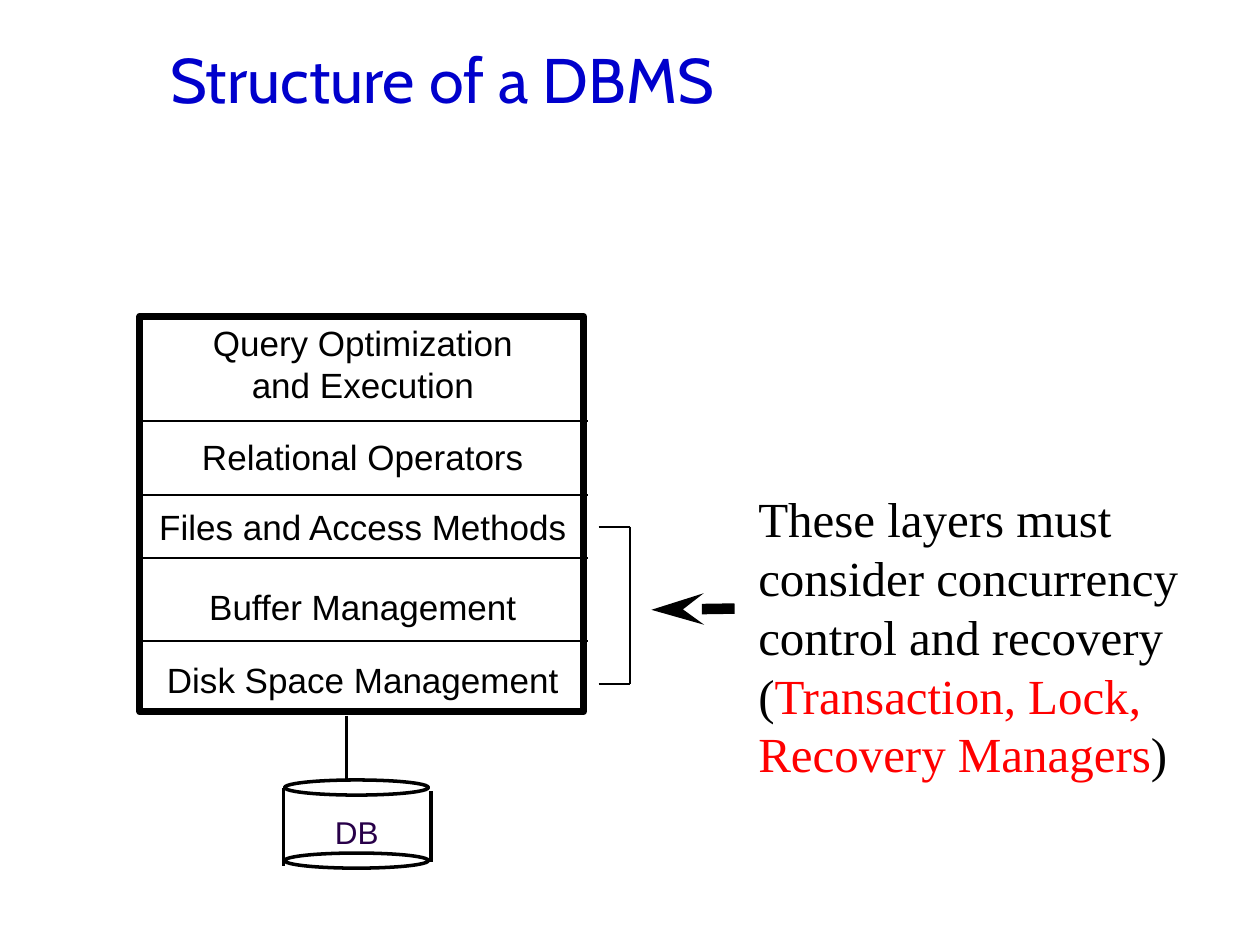
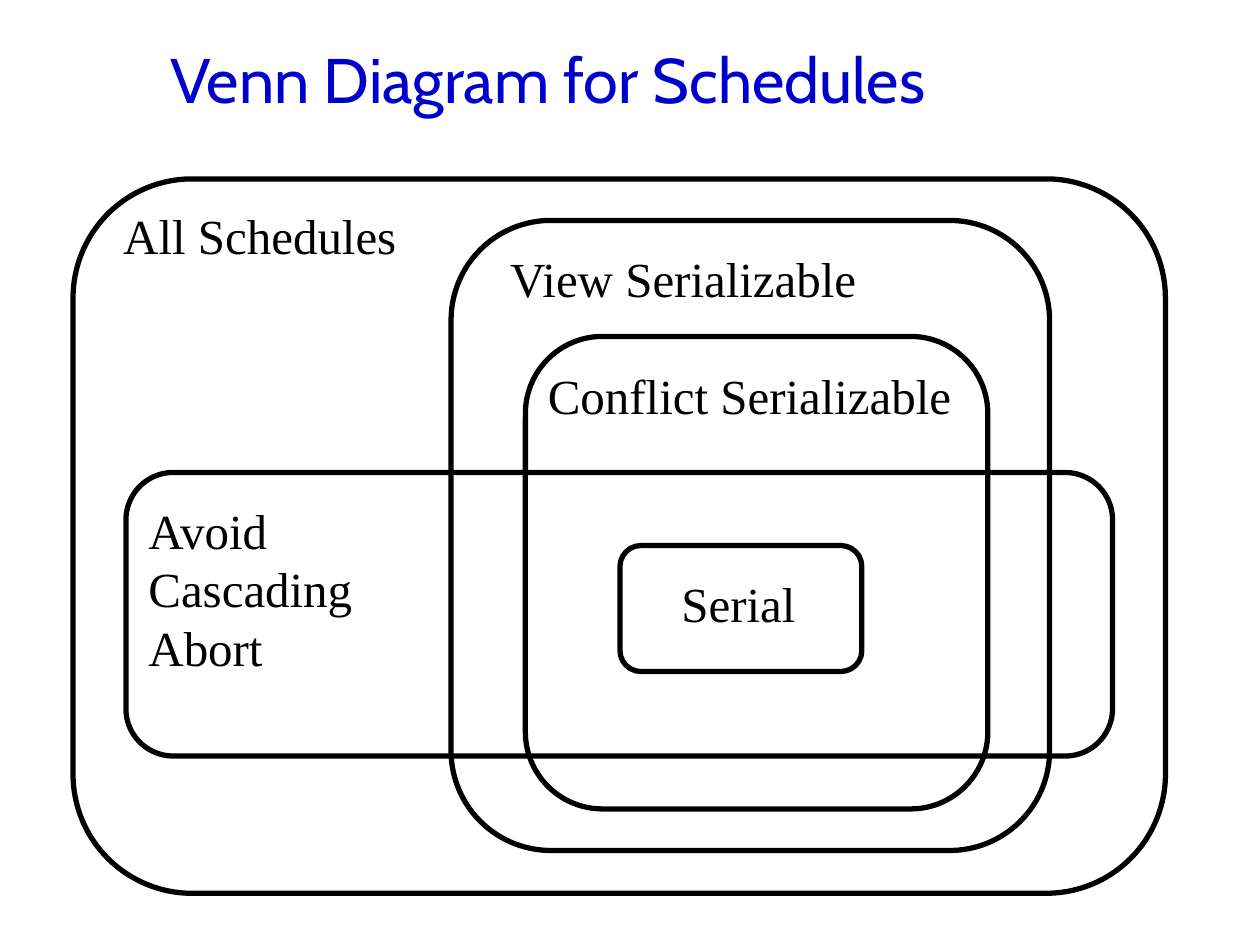
from lxml import etree
from pptx import Presentation, util as u
from pptx.dml.color import RGBColor
from pptx.enum import shapes, text
from pptx.oxml.ns import qn

PX = 9144
BLACK, BLUE, RED, PURPLE = "000000", "0000CC", "FF0000", "280049"
ARIAL = {"name": "Arial", "size": u.Pt(20)}
SMALL = {"name": "Arial", "size": u.Pt(18)}
TIMES = {"name": "Times New Roman", "size": u.Pt(28)}
CABIN = {"name": "Cabin", "size": u.Pt(36)}
LEFT, CENTER = text.PP_ALIGN.LEFT, text.PP_ALIGN.CENTER


def color(hex_value):
    return RGBColor.from_string(hex_value)


def add_text(page, at, paras, style, align=LEFT, wrap=False):
    box = page.shapes.add_textbox(*(v * PX for v in at))
    frame = box.text_frame
    frame.word_wrap = wrap
    frame.margin_left = 10 * PX if align == LEFT else 0
    frame.margin_right = 10 * PX if wrap else 0
    frame.margin_top = 5 * PX
    for index, spans in enumerate(paras):
        para = frame.paragraphs[0] if index == 0 else frame.add_paragraph()
        para.alignment = align
        para.line_spacing = u.Pt(round(style["size"].pt * 1.2, 1))
        for words, ink in spans:
            span = para.add_run()
            span.text = words
            span.font.color.rgb = color(ink)
            for name, value in style.items():
                setattr(span.font, name, value)


deck = Presentation()
deck.slide_width, deck.slide_height = 1000 * PX, 750 * PX

pages = []
for heading in ("Structure of a DBMS", "Venn Diagram for Schedules"):
    page = deck.slides.add_slide(deck.slide_layouts[5])
    title = page.shapes.title
    title.left, title.top, title.width, title.height = (v * PX for v in (125, 0, 850, 125))
    title.text_frame.text = heading
    title.text_frame.auto_size = text.MSO_AUTO_SIZE.NONE
    title.text_frame.vertical_anchor = text.MSO_ANCHOR.MIDDLE
    para = title.text_frame.paragraphs[0]
    para.alignment = LEFT
    para.font.color.rgb = color(BLUE)
    for name, value in CABIN.items():
        setattr(para.font, name, value)
    pages.append(page)
structure, venn = pages

stack_center = 288
layers = [
    (("Query Optimization", "and Execution"), 250, 258, 77),
    (("Relational Operators",), 341, 276, 43),
    (("Files and Access Methods",), 396, 344, 43),
    (("Buffer Management",), 460, 264, 43),
    (("Disk Space Management",), 518, 330, 43),
]
for lines, top, width, height in layers:
    paras = [[(line, BLACK)] for line in lines]
    add_text(structure, (stack_center - width // 2, top, width, height), paras, ARIAL, CENTER)

add_text(structure, (256, 640, 55, 40), [[("DB", PURPLE)]], SMALL)
add_text(structure, (592, 383, 375, 244), [
    [("These layers must consider concurrency", BLACK)],
    [("control and recovery", BLACK)],
    [("(", BLACK), ("Transaction, Lock, Recovery Managers", RED), (")", BLACK)],
], TIMES, wrap=True)

RECT, OVAL, ROUND = (shapes.MSO_SHAPE.RECTANGLE, shapes.MSO_SHAPE.OVAL,
                     shapes.MSO_SHAPE.ROUNDED_RECTANGLE)
outlines = [
    (structure, RECT, (111, 251, 352, 314), 4),
    (structure, OVAL, (226, 619, 114, 12), 2),
    (structure, OVAL, (226, 677, 114, 12), 2),
    (venn, ROUND, (58, 142, 867, 567), 3),
    (venn, ROUND, (100, 375, 783, 225), 3),
    (venn, ROUND, (492, 433, 192, 100), 3),
    (venn, ROUND, (417, 267, 367, 375), 3),
    (venn, ROUND, (358, 175, 475, 500), 3),
]
for page, preset, at, weight in outlines:
    outline = page.shapes.add_shape(preset, *(v * PX for v in at))
    outline.shadow.inherit = False
    outline.fill.background()
    outline.line.color.rgb = color(BLACK)
    outline.line.width = u.Pt(weight)

dividers = [((108, y, 467, y), 1) for y in (334, 393, 443, 509)]
cylinder = [((225, 625, 225, 687), 2), ((342, 628, 342, 684), 2), ((275, 568, 275, 618), 2)]
bracket = [((475, 418, 500, 418), 1), ((500, 418, 500, 543), 1), ((475, 543, 500, 543), 1)]
arrow = [((583, 483, 517, 484), 6)]
for ends, weight in dividers + cylinder + bracket + arrow:
    line = structure.shapes.add_connector(shapes.MSO_CONNECTOR.STRAIGHT, *(v * PX for v in ends))
    line.line.color.rgb = color(BLACK)
    line.line.width = u.Pt(weight)
    properties = line._element.spPr
    etree.SubElement(properties, qn("a:effectLst"))
    if weight == 6:
        etree.SubElement(properties.find(qn("a:ln")), qn("a:tailEnd"),
                         type="stealth", w="med", len="lg")

labels = [
    ("All Schedules", (88, 158, 237, 57), False),
    ("Avoid Cascading Abort", (108, 392, 267, 150), True),
    ("Serial", (531, 450, 110, 57), False),
    ("View Serializable", (395, 192, 297, 57), False),
    ("Conflict Serializable", (425, 285, 340, 57), False),
]
for label, at, wrap in labels:
    add_text(venn, at, [[(label, BLACK)]], TIMES, wrap=wrap)

deck.save("out.pptx")
